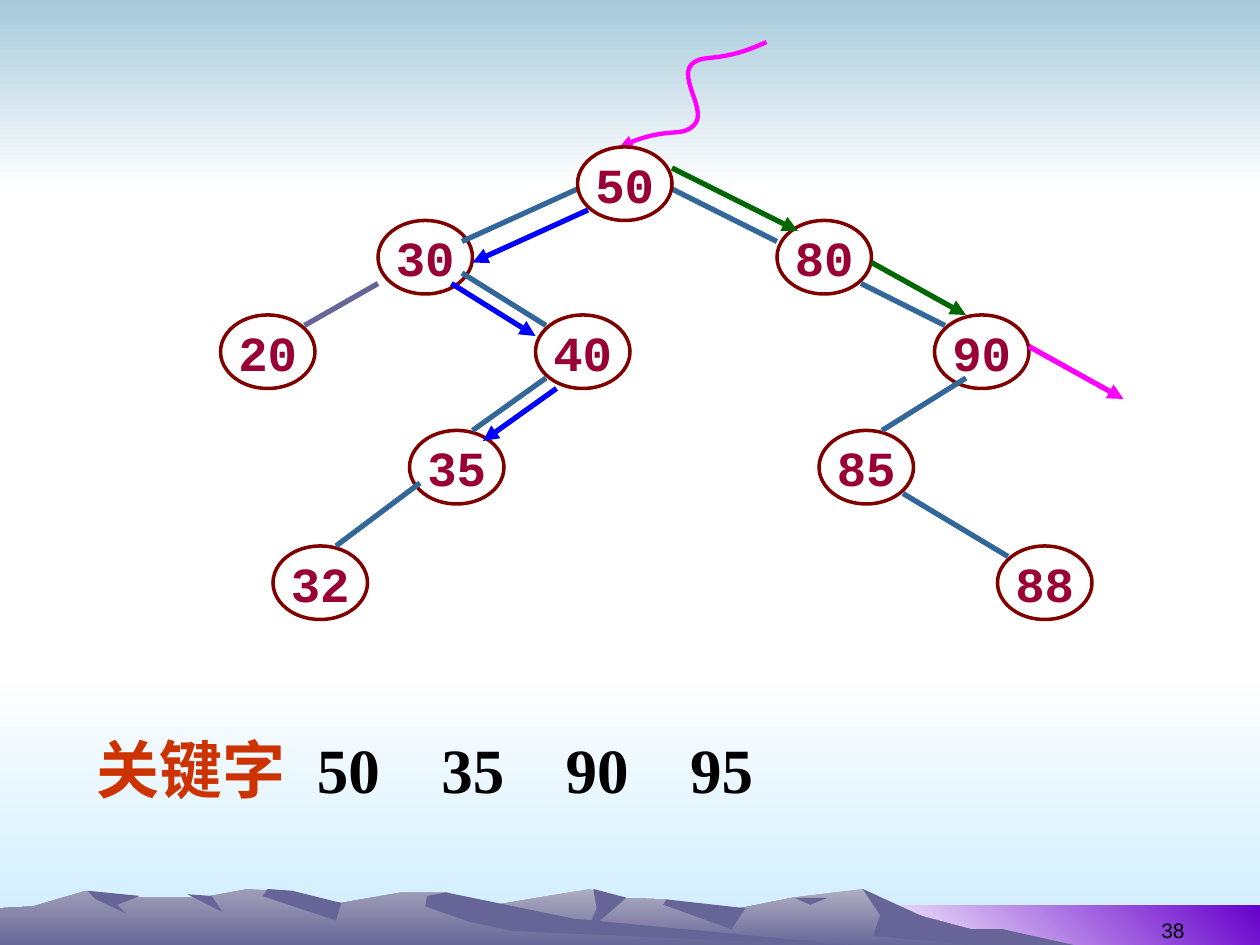
from lxml import etree
from pptx import Presentation
from pptx.dml.color import RGBColor
from pptx.enum.shapes import MSO_CONNECTOR, MSO_SHAPE
from pptx.enum.text import MSO_ANCHOR, PP_ALIGN
from pptx.oxml.ns import qn
from pptx.util import Pt

STRAIGHT = MSO_CONNECTOR.STRAIGHT
OVAL, RECTANGLE = MSO_SHAPE.OVAL, MSO_SHAPE.RECTANGLE
TOP, MIDDLE, BOTTOM = MSO_ANCHOR.TOP, MSO_ANCHOR.MIDDLE, MSO_ANCHOR.BOTTOM
LEFT, CENTER, RIGHT = PP_ALIGN.LEFT, PP_ALIGN.CENTER, PP_ALIGN.RIGHT

WHITE = RGBColor(0xFF, 0xFF, 0xFF)
BLACK = RGBColor(0x00, 0x00, 0x00)
SKY = RGBColor(0xA6, 0xC9, 0xDA)
PALE_BLUE = RGBColor(0xCC, 0xEC, 0xFF)
PURPLE = RGBColor(0x66, 0x00, 0xCC)
RIDGE = RGBColor(0x67, 0x65, 0x97)
RIDGE_RIGHT = RGBColor(0xAE, 0xAE, 0xC2)
RIDGE_LEFT = RGBColor(0x9F, 0x9E, 0xB8)
MAROON = RGBColor(0x80, 0x00, 0x00)
CRIMSON = RGBColor(0x99, 0x00, 0x33)
ORANGE = RGBColor(0xCC, 0x33, 0x00)
STEEL = RGBColor(0x33, 0x66, 0x99)
VIOLET = RGBColor(0x66, 0x66, 0x99)
BLUE = RGBColor(0x00, 0x00, 0xFF)
GREEN = RGBColor(0x00, 0x66, 0x00)
MAGENTA = RGBColor(0xFF, 0x00, 0xFF)

DOWN, UP_RIGHT = 270, 45
GRID = 6  # points per step of the tree layout
NODE_WIDTH, NODE_HEIGHT = 54, 42

# Mountain outlines in points, back to front: top colour (None = plain), corners
MOUNTAINS = [
    (RIDGE_RIGHT, [(591, 541), (521, 522), (493, 508), (453, 513), (408, 522), (381, 514),
                   (350, 513), (337, 508), (284, 517), (186, 541)]),
    (None, [(573, 531), (555, 531), (528, 524), (493, 508), (503, 523), (499, 535),
            (570, 541), (618, 541)]),
    (None, [(339, 508), (341, 519), (335, 533), (358, 513)]),
    (None, [(381, 514), (379, 517), (418, 531), (426, 519)]),
    (None, [(473, 513), (454, 513), (463, 517)]),
    (RIDGE_LEFT, [(497, 541), (311, 527), (255, 510), (229, 510), (195, 516), (170, 516),
                  (160, 509), (141, 508), (115, 513), (68, 513), (49, 509), (19, 518),
                  (0, 519), (0, 541)]),
    (None, [(153, 508), (150, 512), (192, 526), (195, 516), (167, 509)]),
    (None, [(255, 510), (244, 512), (243, 518), (269, 527), (293, 532), (497, 541),
            (328, 525)]),
    (None, [(107, 511), (121, 512), (127, 521)]),
    (None, [(80, 512), (67, 517), (72, 522), (55, 514), (50, 509)]),
]

# Tree nodes in grid steps: label, left, top
NODES = [
    ("30", 36, 21), ("80", 74, 21), ("20", 21, 30), ("90", 89, 30), ("85", 78, 41),
    ("40", 51, 30), ("35", 39, 41), ("88", 95, 52), ("32", 26, 52),
]
ROOT = ("50", 55, 14)

# Lines in grid steps by colour: start, end
EDGES = {
    STEEL: [((55, 18), (44, 23)), ((64, 18), (74, 23)), ((44, 26), (52, 31)),
            ((52, 36), (45, 41)), ((82, 27), (90, 31)), ((92, 36), (84, 41)),
            ((86, 47), (96, 53)), ((40, 46), (32, 52))],
    VIOLET: [((36, 27), (29, 31))],
}
SEARCH_STEPS = {
    BLUE: [((56, 20), (45, 25)), ((43, 27), (51, 32)), ((53, 37), (46, 42))],
    GREEN: [((64, 16), (76, 22)), ((83, 25), (92, 30))],
    MAGENTA: [((98, 33), (107, 38))],
}
# Start, then two controls and an end for each curve segment
ENTRY_CURVE = [
    (438, 24), (410, 37), (402, 30), (395, 37), (388, 45),
    (404, 63), (397, 71), (390, 79), (382, 71), (354, 84),
]


def fill_gradient(shape, start, end, angle):
    shape.fill.gradient()
    shape.fill.gradient_angle = angle
    for stop, color in zip(shape.fill.gradient_stops, (start, end)):
        stop.color.rgb = color


def add_band(page, left, top, width, height, start, end, angle):
    band = page.shapes.add_shape(RECTANGLE, Pt(left), Pt(top), Pt(width), Pt(height))
    band.shadow.inherit = False
    band.line.fill.background()
    fill_gradient(band, start, end, angle)


def add_outline(page, points, close=True):
    corners = [(Pt(x), Pt(y)) for x, y in points]
    builder = page.shapes.build_freeform(*corners[0])
    builder.add_line_segments(corners[1:], close=close)
    outline = builder.convert_to_shape()
    outline.shadow.inherit = False
    return outline


def add_mountain(page, top_color, points):
    mountain = add_outline(page, points)
    mountain.line.fill.background()
    if top_color is None:
        mountain.fill.solid()
        mountain.fill.fore_color.rgb = RIDGE
    else:
        fill_gradient(mountain, top_color, RIDGE, DOWN)


def style_line(line, color, width, arrow=False):
    line.color.rgb = color
    line.width = Pt(width)
    if arrow:
        etree.SubElement(line._get_or_add_ln(), qn("a:tailEnd"), type="triangle")


def add_curve(page, points, color):
    curve = add_outline(page, points, close=False)
    curve.fill.background()
    style_line(curve.line, color, 2.5, arrow=True)
    # Each three straight segments become one Bezier segment
    steps = list(curve._element.iter(qn("a:lnTo")))
    for first in range(0, len(steps), 3):
        bezier = etree.Element(qn("a:cubicBezTo"))
        steps[first].addprevious(bezier)
        for step in steps[first:first + 3]:
            bezier.append(step[0])
            step.getparent().remove(step)


def add_lines(page, lines_by_color, arrow=False):
    for color, lines in lines_by_color.items():
        for start, end in lines:
            ends = [Pt(step * GRID) for step in start + end]
            line = page.shapes.add_connector(STRAIGHT, *ends)
            etree.SubElement(line._element.spPr, qn("a:effectLst"))
            style_line(line.line, color, 3, arrow)


def write_text(shape, text, *, size, font, color, bold=False, align=LEFT, anchor=TOP,
               wrap=True, side_margins=(7.2, 7.2)):
    frame = shape.text_frame
    frame.word_wrap = wrap
    frame.vertical_anchor = anchor
    frame.margin_left, frame.margin_right = map(Pt, side_margins)
    para = frame.paragraphs[0]
    para.alignment = align
    span = para.add_run()
    span.text = text
    span.font.size, span.font.name, span.font.bold = Pt(size), font, bold
    span.font.color.rgb = color


def add_label(page, text, left, top, width, height, **text_format):
    box = page.shapes.add_textbox(Pt(left), Pt(top), Pt(width), Pt(height))
    write_text(box, text, **text_format)


def add_node(page, label, left, top, fill=None):
    node = page.shapes.add_shape(OVAL, Pt(left * GRID), Pt(top * GRID),
                                 Pt(NODE_WIDTH), Pt(NODE_HEIGHT))
    node.shadow.inherit = False
    if fill is None:
        node.fill.background()
    else:
        node.fill.solid()
        node.fill.fore_color.rgb = fill
    style_line(node.line, MAROON, 2)
    write_text(node, label, size=28, font="Courier New", color=CRIMSON, bold=True,
               align=CENTER, anchor=MIDDLE, wrap=False)


def main():
    deck = Presentation()
    deck.slide_width, deck.slide_height = Pt(720), Pt(540)
    page = deck.slides.add_slide(deck.slide_layouts[6])

    # Background
    add_band(page, 0, 384, 720, 156, WHITE, PALE_BLUE, DOWN)
    add_band(page, 0, 0, 720, 108, SKY, WHITE, DOWN)
    add_band(page, 492, 517.5, 228, 24, WHITE, PURPLE, UP_RIGHT)
    for top_color, points in MOUNTAINS:
        add_mountain(page, top_color, points)
    add_label(page, "38", 516, 506, 168, 36, size=12, font="Arial", color=BLACK,
              align=RIGHT, anchor=BOTTOM)

    # Search tree
    add_curve(page, ENTRY_CURVE, MAGENTA)
    for node in NODES:
        add_node(page, *node)
    add_lines(page, EDGES)
    add_node(page, *ROOT, fill=WHITE)
    add_lines(page, SEARCH_STEPS, arrow=True)

    # Keys searched for
    key_format = dict(size=36, font="Times New Roman", bold=True, side_margins=(7.2, 0))
    add_label(page, "关键字", 48, 414, 123, 51, color=ORANGE, **key_format)
    for index, key in enumerate(("50", "35", "90", "95")):
        add_label(page, key, 174 + 71.1 * index, 414, 69, 51, color=BLACK, **key_format)

    deck.save("out.pptx")


if __name__ == "__main__":
    main()
